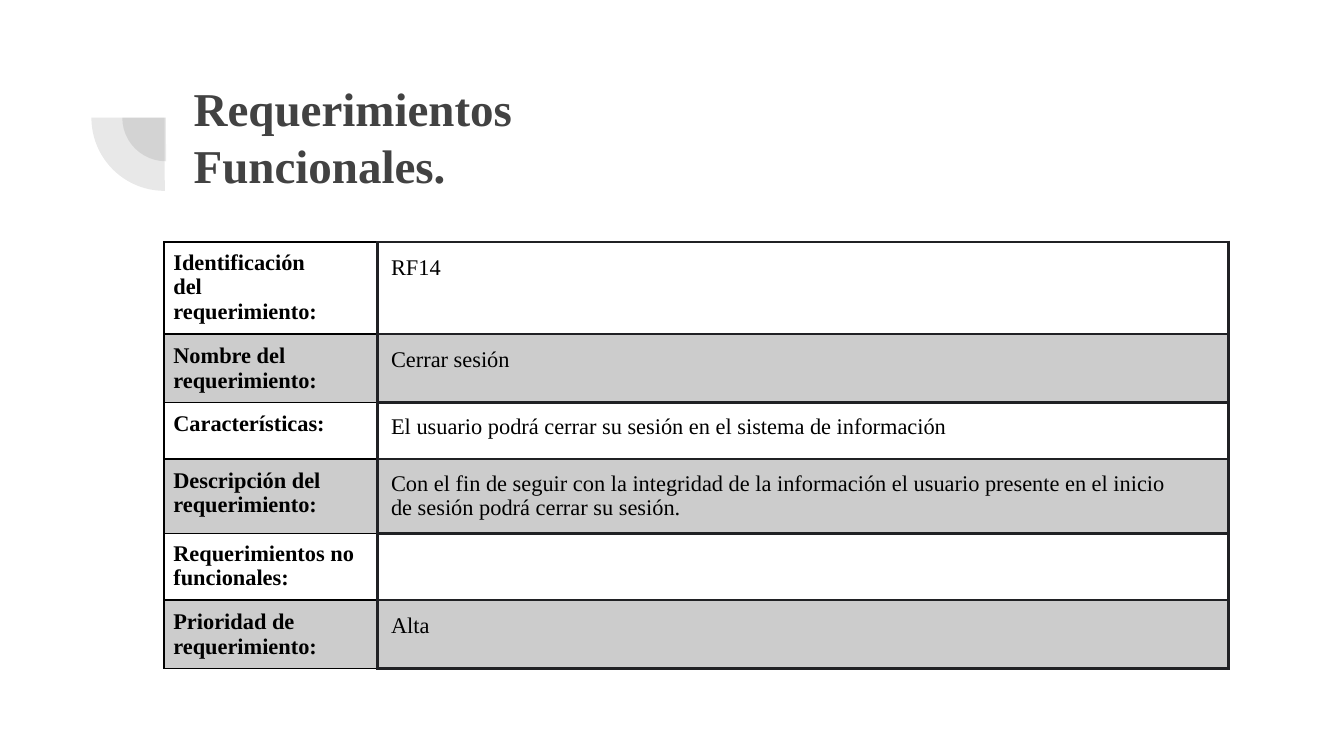
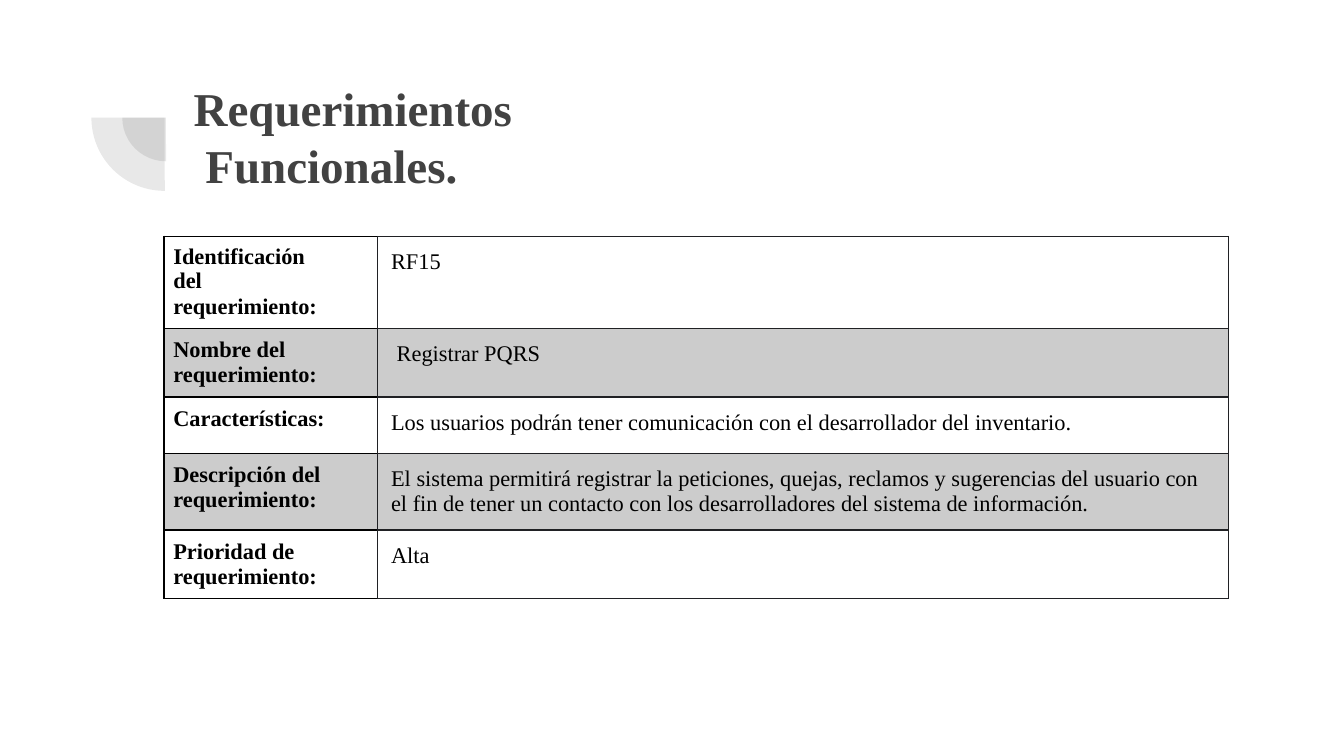
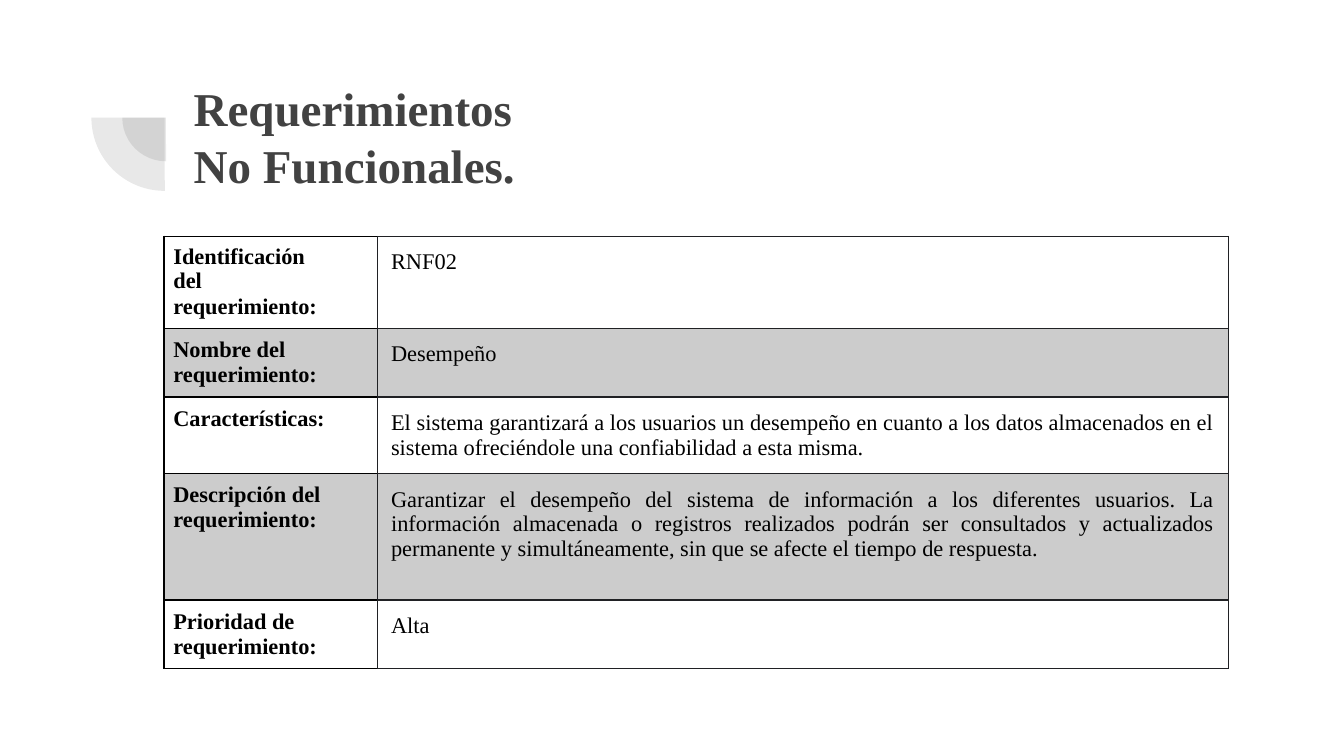
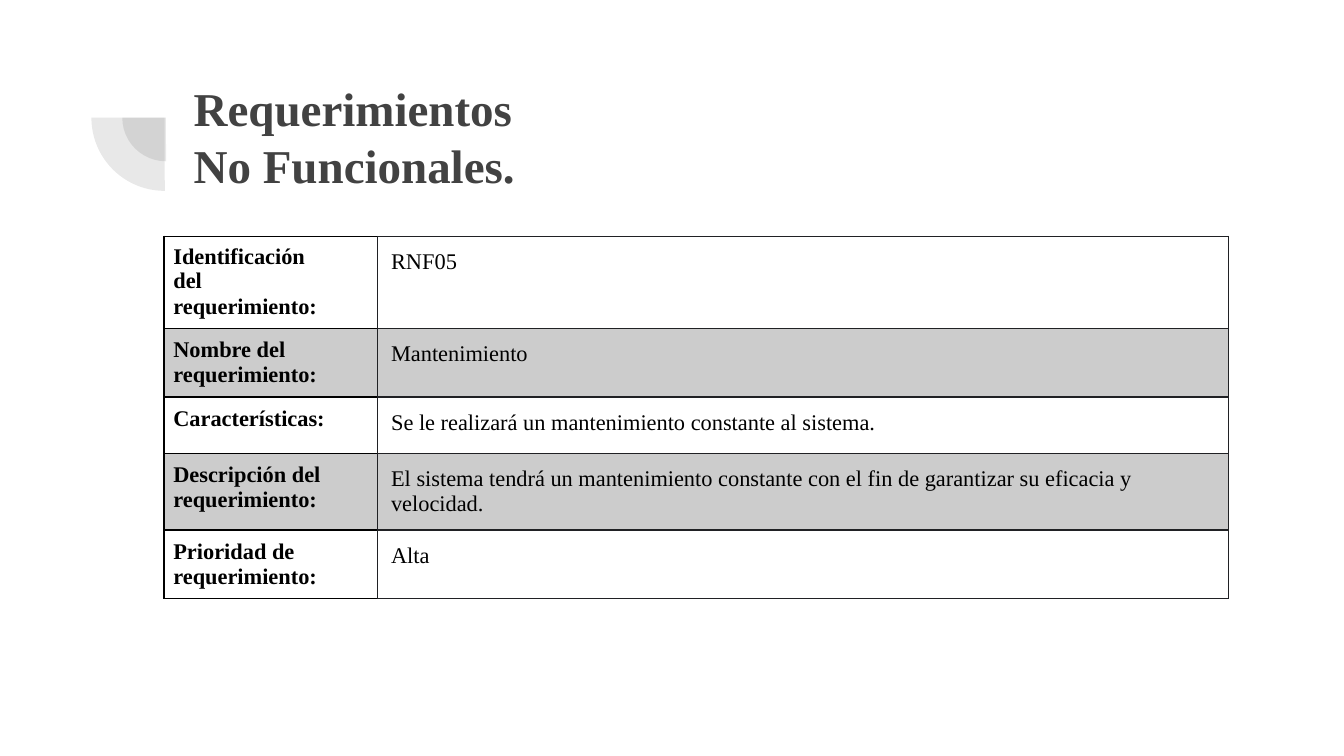
from dataclasses import dataclass

from pptx import Presentation
from pptx.dml.color import RGBColor as RGB
from pptx.enum.shapes import MSO_SHAPE as Shape
from pptx.enum.text import MSO_ANCHOR as Anchor, MSO_AUTO_SIZE as Fit, PP_ALIGN as Align
from pptx.oxml import parse_xml
from pptx.oxml.ns import nsdecls, qn
from pptx.util import Inches, Pt


@dataclass(frozen=True)
class Theme:
    font: str = "Times New Roman"
    gray: str = "424242"
    black: str = "000000"
    edge: str = "202124"
    band: str = "CCCCCC"
    head: float = 25.2
    body: float = 12
    alpha: int = 12000


T = Theme()
WIDE = Inches(10)
COLS = (1.59, 6.33)
LEFT = 1.22
TIGHT = {"ls": 0.96}
JUST = {"align": Align.JUSTIFY}

# Row labels shared by the tables, each with its paragraph formats
ID = ("Identificación del\nrequerimiento:", [{"ls": 0.96, "right": 0.33}, {"before": 0.3}])
NAME = ("Nombre del\nrequerimiento:", [])
TRAIT = ("Características:", [])
ABOUT = ("Descripción del requerimiento:", [])
OTHER = ("Requerimientos no funcionales:", [TIGHT])
RANK = ("Prioridad de\nrequerimiento:", [])

# Border widths of the value cells: left, top, right, bottom
BOLD = (1.5, 1.5, 1.5, 1.5)
THIN = (1, 0.75, 0.75, 0.75)

# Each row: label, value, value format, height
SLIDES = [
    {"title": "Requerimientos\nFuncionales.", "top": 1.8, "lines": BOLD, "rows": [
        (ID, "RF14", {}, 0.68),
        (NAME, "Cerrar sesión", {}, 0.51),
        (TRAIT, "El usuario podrá cerrar su sesión en el sistema de información", TIGHT, 0.42),
        (ABOUT, "Con el fin de seguir con la integridad de la información el usuario "
         "presente en el inicio de sesión podrá cerrar su sesión.",
         {"ls": 0.96, "right": 0.25}, 0.55),
        (OTHER, "", {}, 0.49),
        (RANK, "Alta", {}, 0.51)]},
    {"title": "Requerimientos\n Funcionales.", "top": 1.76, "lines": THIN, "rows": [
        (ID, "RF15", {}, 0.68),
        (NAME, " Registrar PQRS", {}, 0.51),
        (TRAIT, "Los usuarios podrán tener comunicación con el desarrollador del "
         "inventario.", {}, 0.42),
        (ABOUT, "El sistema permitirá registrar la peticiones, quejas, reclamos y "
         "sugerencias del usuario con el fin de tener un contacto con los "
         "desarrolladores del sistema de información.", {}, 0.57),
        (RANK, "Alta", {}, 0.51)]},
    {"title": "Requerimientos\nNo Funcionales.", "top": 1.76, "lines": THIN, "rows": [
        (ID, "RNF02", {}, 0.68),
        (NAME, "Desempeño", {}, 0.51),
        (TRAIT, "El sistema garantizará a los usuarios un desempeño en cuanto a los "
         "datos almacenados en el sistema ofreciéndole una confiabilidad a esta "
         "misma.", JUST, 0.57),
        (ABOUT, "Garantizar el desempeño del sistema de información a los diferentes "
         "usuarios. La información almacenada o registros realizados podrán ser "
         "consultados y actualizados permanente y simultáneamente, sin que se "
         "afecte el tiempo de respuesta.", JUST, 0.94),
        (RANK, "Alta", {}, 0.51)]},
    {"title": "Requerimientos\nNo Funcionales.", "top": 1.76, "lines": THIN, "rows": [
        (ID, "RNF05", {}, 0.68),
        (NAME, "Mantenimiento", {}, 0.51),
        (TRAIT, "Se le realizará un mantenimiento constante al sistema.", {}, 0.42),
        (ABOUT, "El sistema tendrá un mantenimiento constante con el fin de "
         "garantizar su eficacia y velocidad.", {}, 0.57),
        (RANK, "Alta", {}, 0.51)]},
]


def assign(item, values):
    for key, value in values.items():
        setattr(item, key, value)


def write(frame, text, size, color, bold, formats=()):
    """Fill a text frame; formats holds one dict per paragraph."""
    frame.text = text
    for i, para in enumerate(frame.paragraphs):
        form = formats[i] if i < len(formats) else {}
        para.alignment = form.get("align", Align.LEFT)
        para.line_spacing = form.get("ls", 1.0)
        para.space_before = Pt(form.get("before", 0))
        if "right" in form:
            para._p.get_or_add_pPr().set("marR", str(Inches(form["right"])))
        for run in para.runs:
            assign(run.font, {"name": T.font, "size": Pt(size), "bold": bold})
            run.font.color.rgb = RGB.from_string(color)
        # An empty cell keeps the row height of its type size
        if not para.runs:
            para._p.append(parse_xml(
                f'<a:endParaRPr {nsdecls("a")} sz="{round(size * 100)}"/>'))


def add_pie(slide, layout, left, top, size):
    """Draw a translucent quarter disc and move it to the layout."""
    pie = slide.shapes.add_shape(Shape.PIE, *map(Inches, (left, top, size, size)))
    pie.rotation = 270
    pie.adjustments[0], pie.adjustments[1] = 107.93, 162
    pie.shadow.inherit = False
    pie.line.fill.background()
    pie.fill.solid()
    pie.fill.fore_color.rgb = RGB.from_string(T.gray)
    tone = pie.element.spPr.find(qn("a:solidFill"))[0]
    tone.append(parse_xml(f'<a:alpha {nsdecls("a")} val="{T.alpha}"/>'))
    layout.shapes.element.append(pie.element)


def add_title(slide, text):
    title = slide.shapes.title
    assign(title, dict(zip(("left", "top", "width", "height"),
                           map(Inches, (1.34, 0.47, 7.69, 1.09)))))
    frame = title.text_frame
    pad = Inches(0.1)
    assign(frame, {"margin_left": pad, "margin_right": pad, "margin_top": pad,
                   "margin_bottom": pad, "word_wrap": True,
                   "auto_size": Fit.NONE, "vertical_anchor": Anchor.MIDDLE})
    write(frame, text, T.head, T.gray, True)


def style_cell(cell, pad, colors, widths, fill):
    """Set margins, the four borders and the fill of a cell."""
    assign(cell, {f"margin_{side}": Inches(pad)
                  for side in ("left", "top", "right", "bottom")})
    props = cell._tc.get_or_add_tcPr()
    edges = dict(zip("LTRB", zip(colors, widths)))
    for side in "LRTB":
        color, width = edges[side]
        props.append(parse_xml(
            f'<a:ln{side} {nsdecls("a")} w="{Pt(width)}"><a:solidFill>'
            f'<a:srgbClr val="{color}"/></a:solidFill></a:ln{side}>'))
    if fill:
        cell.fill.solid()
        cell.fill.fore_color.rgb = RGB.from_string(fill)
    else:
        cell.fill.background()


def add_sheet(slide, top, rows, lines):
    """Add the table of one requirement, with every second row shaded."""
    high = sum(row[-1] for row in rows)
    table = slide.shapes.add_table(
        len(rows), len(COLS), *map(Inches, (LEFT, top, sum(COLS), high))).table
    assign(table, {"first_row": False, "horz_banding": False})
    for col, width in zip(table.columns, COLS):
        col.width = Inches(width)
    for i, ((label, forms), value, form, height) in enumerate(rows):
        table.rows[i].height = Inches(height)
        fill = T.band if i % 2 else None
        name, data = table.rows[i].cells
        style_cell(name, 0.07, (T.black, T.black, T.edge, T.black),
                   (1, 1, lines[0], 1), fill)
        style_cell(data, 0.1, (T.edge,) * 4, lines, fill)
        write(name.text_frame, label, T.body, T.black, True, forms)
        write(data.text_frame, value, T.body, T.black, False, [form])


def main():
    deck = Presentation()
    # Widescreen, 16:9
    assign(deck, {"slide_width": WIDE, "slide_height": WIDE * 9 // 16})
    layout = deck.slide_layouts[5]
    for i, page in enumerate(SLIDES):
        slide = deck.slides.add_slide(layout)
        # Corner ornament, placed once on the shared layout
        if i == 0:
            add_pie(slide, layout, 0.91, 0.55, 0.65)
            add_pie(slide, layout, 0.68, 0.33, 1.09)
        add_title(slide, page["title"])
        add_sheet(slide, page["top"], page["rows"], page["lines"])
    deck.save("out.pptx")


if __name__ == "__main__":
    main()
